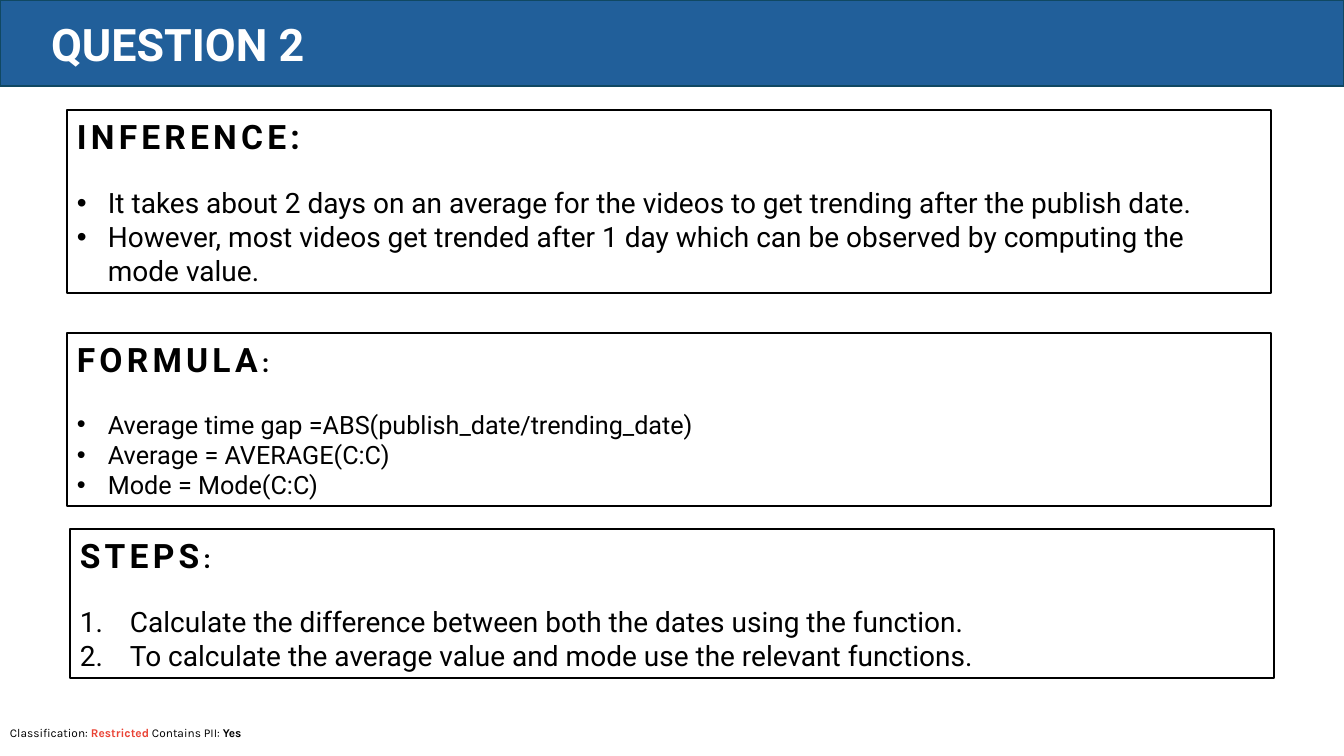
from dataclasses import dataclass

from lxml.etree import SubElement
from pptx import Presentation
from pptx.dml.color import RGBColor
from pptx.enum.shapes import MSO_SHAPE
from pptx.enum.text import MSO_ANCHOR, MSO_AUTO_SIZE, PP_ALIGN
from pptx.oxml.ns import qn
from pptx.util import Pt


@dataclass(frozen=True)
class Theme:
    black: str = "000000"
    white: str = "FFFFFF"
    banner: str = "215F9A"
    banner_edge: str = "104862"
    alert: str = "EA4335"
    text_font: str = "Roboto"
    footer_font: str = "Karla"
    title_size: float = 32
    heading_size: float = 24
    body_size: float = 20
    small_size: float = 18
    footer_size: float = 8.5
    heading_gap: float = 21
    heading_spacing: int = 300
    edge: float = 1.5


THEME = Theme()
SCALE = 914400 / 100.8

TITLE = "QUESTION 2"
CLASSIFICATION = [
    ("Classification: ", {}),
    ("Restricted", {"color": THEME.alert, "bold": True}),
    (" Contains PII: ", {}),
    ("Yes", {"bold": True}),
]
SECTIONS = [
    {
        "box": (67, 110, 1204, 183),
        "heading": "INFERENCE",
        "colon_size": THEME.heading_size,
        "items": [
            "It takes about 2 days on an average for the videos to get trending after the publish date.",
            "However, most videos get trended after 1 day which can be observed by computing the mode value.",
        ],
        "item_size": THEME.body_size,
        "numbered": False,
    },
    {
        "box": (67, 333, 1204, 173),
        "heading": "FORMULA",
        "colon_size": THEME.small_size,
        "items": [
            "Average time gap =ABS(publish_date/trending_date)",
            "Average = AVERAGE(C:C)",
            "Mode = Mode(C:C)",
        ],
        "item_size": THEME.small_size,
        "numbered": False,
    },
    {
        "box": (70, 529, 1204, 149),
        "heading": "STEPS",
        "colon_size": THEME.small_size,
        "items": [
            "Calculate the difference between both the dates using the function.",
            "To calculate the average value and mode use the relevant functions.",
        ],
        "item_size": THEME.body_size,
        "numbered": True,
    },
]


def px(length):
    return round(length * SCALE)


def place(box):
    return [px(length) for length in box]


def add_text(paragraph, text, size, color=THEME.black, font=THEME.text_font, bold=False, spacing=0):
    run = paragraph.add_run()
    run.text = text
    run.font.size = Pt(size)
    run.font.name = font
    run.font.bold = bold
    run.font.color.rgb = RGBColor.from_string(color)
    if spacing:
        run.font._element.set("spc", str(spacing))


def set_frame(frame, anchor=MSO_ANCHOR.MIDDLE):
    frame.word_wrap = True
    frame.auto_size = MSO_AUTO_SIZE.NONE
    frame.vertical_anchor = anchor
    frame.paragraphs[0].alignment = PP_ALIGN.LEFT


def add_box(slide, box, edge, fill=None):
    panel = slide.shapes.add_shape(MSO_SHAPE.RECTANGLE, *place(box))
    panel.shadow.inherit = False
    if fill:
        panel.fill.solid()
        panel.fill.fore_color.rgb = RGBColor.from_string(fill)
    else:
        panel.fill.background()
    panel.line.color.rgb = RGBColor.from_string(edge)
    panel.line.width = Pt(THEME.edge)
    return panel


def set_marker(paragraph, numbered):
    indent = px(50 if numbered else 31)
    properties = paragraph._p.get_or_add_pPr()
    properties.set("marL", str(indent))
    properties.set("indent", str(-indent))
    font = SubElement(properties, qn("a:buFont"))
    font.set("typeface", THEME.text_font if numbered else "Arial")
    if numbered:
        SubElement(properties, qn("a:buAutoNum")).set("type", "arabicPeriod")
    else:
        SubElement(properties, qn("a:buChar")).set("char", "•")


def add_section(slide, section):
    frame = add_box(slide, section["box"], THEME.black).text_frame
    set_frame(frame)
    heading = frame.paragraphs[0]
    heading.space_after = Pt(THEME.heading_gap)
    for text, size in ((section["heading"], THEME.heading_size), (":", section["colon_size"])):
        add_text(heading, text, size, bold=True, spacing=THEME.heading_spacing)
    for item in section["items"]:
        paragraph = frame.add_paragraph()
        paragraph.alignment = PP_ALIGN.LEFT
        set_marker(paragraph, section["numbered"])
        add_text(paragraph, item, section["item_size"])


def main():
    deck = Presentation()
    deck.slide_width, deck.slide_height = px(1344), px(756)
    slide = deck.slides.add_slide(deck.slide_layouts[5])

    footer = slide.shapes.add_textbox(*place((0, 721, 1344, 24))).text_frame
    set_frame(footer)
    for text, style in CLASSIFICATION:
        add_text(footer.paragraphs[0], text, THEME.footer_size, font=THEME.footer_font, **style)

    banner = add_box(slide, (0, 0, 1344, 86), THEME.banner_edge, THEME.banner)
    title = slide.shapes.title
    banner.element.addnext(title.element)
    title.left, title.top, title.width, title.height = place((41, 11, 414, 65))
    set_frame(title.text_frame)
    add_text(title.text_frame.paragraphs[0], TITLE, THEME.title_size, color=THEME.white, bold=True)

    for section in SECTIONS:
        add_section(slide, section)
    deck.save("out.pptx")


if __name__ == "__main__":
    main()
